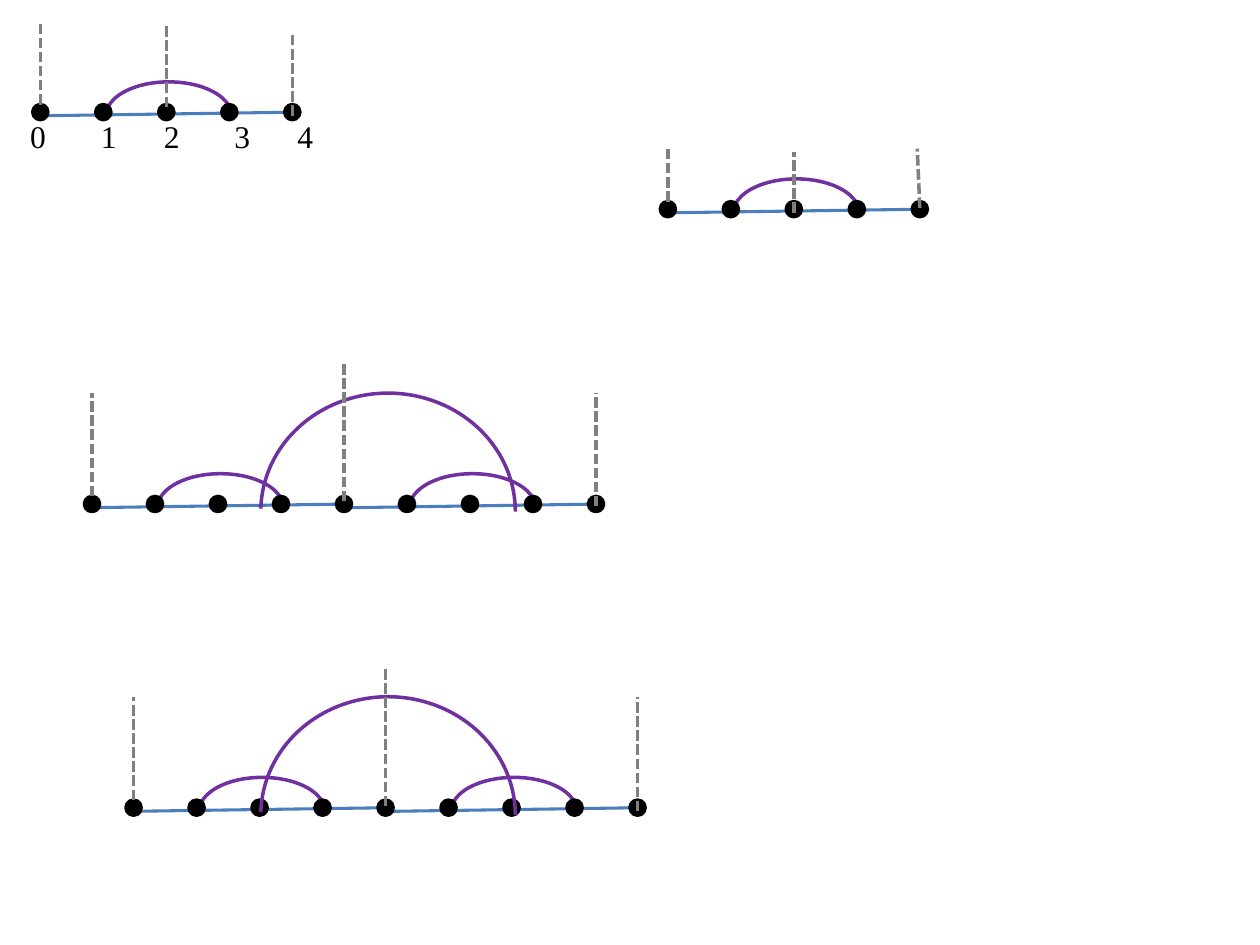
import dataclasses

import pptx
import pptx.dml.color
import pptx.enum.dml
import pptx.enum.shapes
import pptx.enum.text
import pptx.oxml
import pptx.oxml.ns
import pptx.util

Inches = pptx.util.Inches
Pt = pptx.util.Pt
RGB = pptx.dml.color.RGBColor.from_string
SHAPE = pptx.enum.shapes.MSO_SHAPE


@dataclasses.dataclass
class Theme:
    arc = RGB("7030A0")
    axis = RGB("4B7EBC")
    dot = RGB("000000")
    marker = RGB("808080")
    text = RGB("000000")
    font = "Times New Roman"
    label_size = Pt(18)
    outline = Pt(2)
    axis_width = Pt(1.75)


theme = Theme()


def draw_line(page, start, end, color, width, dash=None):
    line = page.shapes.add_connector(
        pptx.enum.shapes.MSO_CONNECTOR.STRAIGHT,
        *[Inches(value) for value in (*start, *end)])
    line.line.color.rgb = color
    line.line.width = width
    if dash is not None:
        line.line.dash_style = dash
    pptx.oxml.ns.qn("a:effectLst")
    line._element.spPr.append(pptx.oxml.parse_xml(
        f"<a:effectLst {pptx.oxml.ns.nsdecls('a')}/>"))


def write_text(page, text, *, at, size, font, color, margin_left, tabs):
    box = page.shapes.add_textbox(*[Inches(value) for value in at])
    frame = box.text_frame
    frame.word_wrap = True
    frame.auto_size = pptx.enum.text.MSO_AUTO_SIZE.SHAPE_TO_FIT_TEXT
    frame.margin_left = Inches(margin_left)
    para = frame.paragraphs[0]
    stops = "".join(f'<a:tab pos="{Inches(stop)}" algn="l"/>' for stop in tabs)
    para._p.get_or_add_pPr().append(pptx.oxml.parse_xml(
        f"<a:tabLst {pptx.oxml.ns.nsdecls('a')}>{stops}</a:tabLst>"))
    span = para.add_run()
    span.text = text
    span.font.size = size
    span.font.name = font
    span.font.color.rgb = color


deck = pptx.Presentation()
deck.slide_width = Inches(10)
deck.slide_height = Inches(7.5)
page = deck.slides.add_slide(deck.slide_layouts[6])

# Geometry shared by all graphs
DOT = 0.12
STEP = 0.5
SPAN = 4 * STEP

# Each graph: left and top of its first dot, number of four-step spans,
# wide arc if any, and its dashed markers from bottom to top
graphs = [
    (0.26, 0.83, 1, None,
     [((0.32, 0.83), (0.32, 0.17)), ((1.32, 0.85), (1.32, 0.18)),
      ((2.32, 0.92), (2.32, 0.25))]),
    (0.67, 3.94, 2, (2.07, 3.12, 2.02, 1.88),
     [((0.73, 3.94), (0.73, 3.12)), ((4.73, 4.02), (4.73, 3.12)),
      ((2.73, 3.98), (2.73, 2.89))]),
    (1.0, 6.35, 2, (2.07, 5.53, 2.02, 1.88),
     [((1.06, 6.35), (1.06, 5.53)), ((5.06, 6.44), (5.06, 5.53)),
      ((3.06, 6.4), (3.06, 5.3))]),
    (5.24, 1.6, 1, None,
     [((5.3, 1.6), (5.3, 1.18)), ((7.3, 1.65), (7.28, 1.18)),
      ((6.3, 1.69), (6.3, 1.21))]),
]

for left, top, span_count, wide_arc, markers in graphs:
    # Axis lines, one per span
    for index in range(span_count):
        start = left + index * SPAN + (0.07 if index else 0)
        draw_line(page, (start, top + 0.09),
                  (left + (index + 1) * SPAN + DOT, top + 0.06),
                  theme.axis, theme.axis_width)

    # Small arcs, dots, then the wide arc on top
    outlines = [(SHAPE.ARC, (left + index * SPAN + 0.58, top - 0.18, 1, 0.54))
                for index in range(span_count)]
    outlines += [(SHAPE.OVAL, (left + index * STEP, top, DOT, DOT))
                 for index in range(4 * span_count + 1)]
    if wide_arc:
        outlines.append((SHAPE.ARC, wide_arc))
    for kind, place in outlines:
        shape = page.shapes.add_shape(kind, *[Inches(value) for value in place])
        shape.shadow.inherit = False
        shape.line.width = theme.outline
        if kind == SHAPE.ARC:
            shape.adjustments[0] = 108.8
            shape.adjustments[1] = 0
            shape.fill.background()
            shape.line.color.rgb = theme.arc
        else:
            shape.fill.solid()
            shape.fill.fore_color.rgb = theme.dot
            shape.line.color.rgb = theme.dot

    # Dashed markers
    for start, end in markers:
        draw_line(page, start, end, theme.marker, theme.outline,
                  dash=pptx.enum.dml.MSO_LINE.SQUARE_DOT)

# Numbers under the first graph
write_text(page, "0\t1\t2\t3\t4", at=(0.08, 0.88, 2.58, 0.4),
           size=theme.label_size, font=theme.font, color=theme.text,
           margin_left=0.16, tabs=(0.56, 1.06, 1.62, 2.12))

deck.save("out.pptx")
